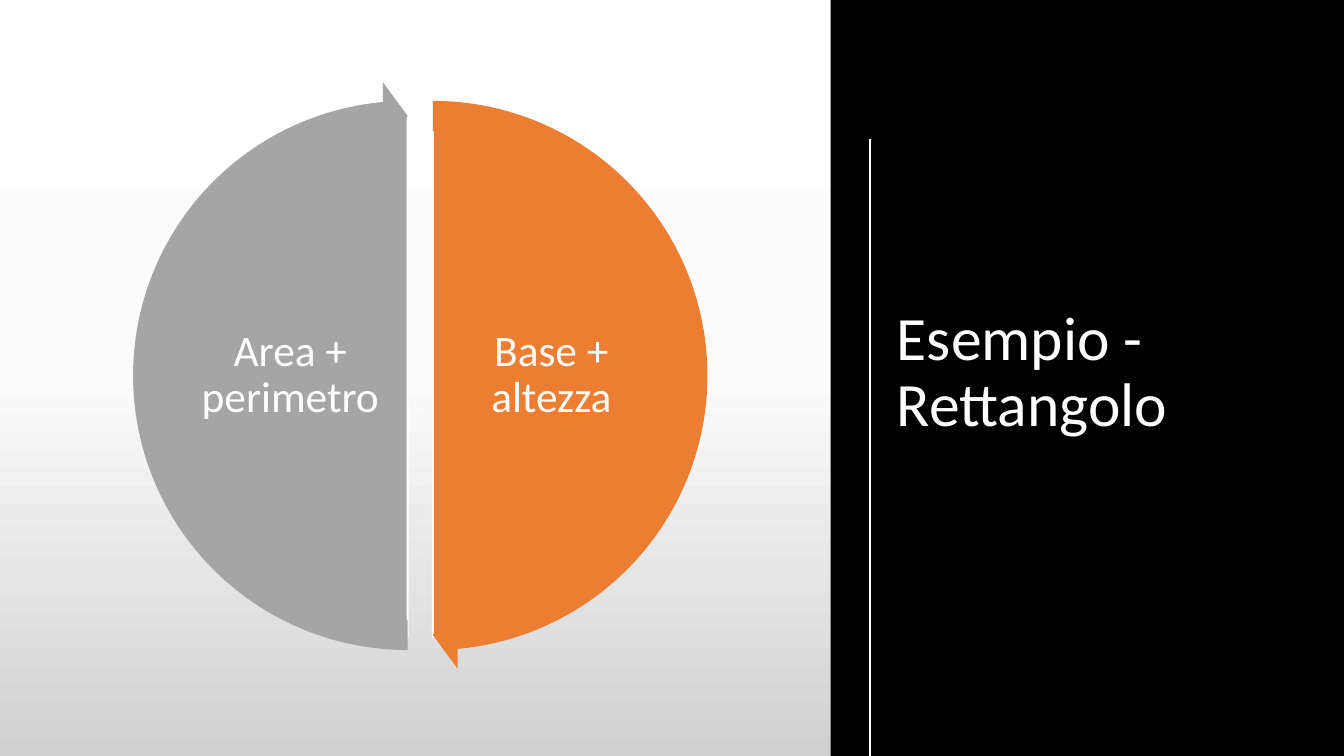
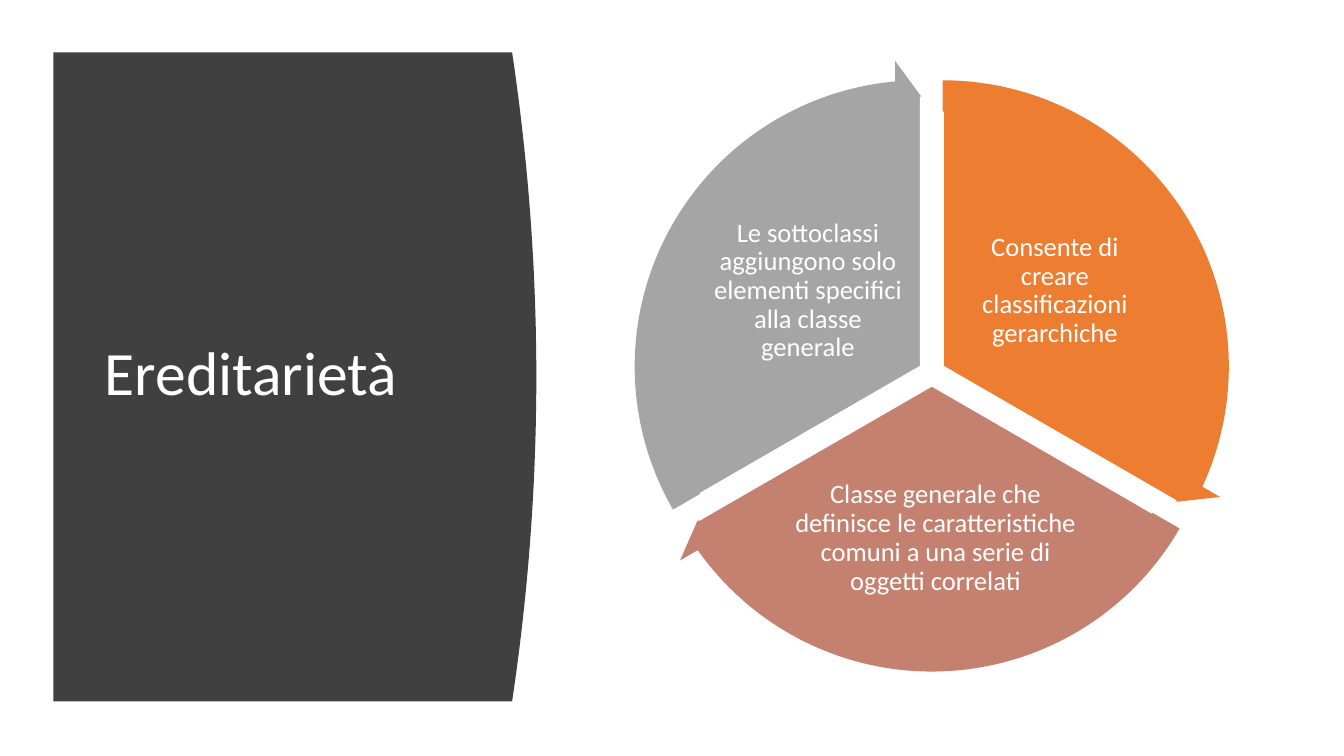
from copy import deepcopy
from dataclasses import dataclass
from math import cos, radians, sin

from lxml.etree import SubElement
from pptx import Presentation
from pptx.dml.color import RGBColor as Rgb
from pptx.enum.shapes import MSO_CONNECTOR as Conn, MSO_SHAPE as Kind
from pptx.enum.text import MSO_ANCHOR as Anchor, PP_ALIGN as Align
from pptx.oxml.ns import qn
from pptx.util import Pt


@dataclass(frozen=True)
class Theme:
    """Colours and type sizes of the deck."""
    font: str = "Calibri"
    white: str = "FFFFFF"
    black: str = "000000"
    dark: str = "404040"
    orange: str = "ED7D31"
    rose: str = "C48170"
    grey: str = "A5A5A5"
    fade: tuple = ((0, "FFFFFF"), (0.5, "FBFBFB"), (1, "D1D1D1"))
    title: int = 44
    large: int = 31
    small: int = 19


THEME = Theme()
WIDE, HIGH = 960, 540
GAP = 9
RING = 1.125
HEAD = 3.275


def apply(item, values):
    """Set each named value on an item."""
    for name, value in values.items():
        setattr(item, name, value)


def paint(shape, fill, edge=None, width=1.5):
    """Fill a shape, outline it if asked, and drop its shadow."""
    shape.shadow.inherit = False
    shape.fill.solid()
    shape.fill.fore_color.rgb = Rgb.from_string(fill)
    if edge:
        shape.line.color.rgb = Rgb.from_string(edge)
        shape.line.width = Pt(width)
    else:
        shape.line.fill.background()


def block(slide, kind, box, fill, edge=None, adj=()):
    """Add a preset shape with its adjustments."""
    shape = slide.shapes.add_shape(kind, *map(Pt, box))
    for i, value in enumerate(adj):
        shape.adjustments[i] = value
    paint(shape, fill, edge)


def write(slide, text, box, size, align=Align.LEFT, pad=(7.2, 3.6)):
    """Add a white text box centred on its height."""
    frame = slide.shapes.add_textbox(*map(Pt, box)).text_frame
    side, end = map(Pt, pad)
    apply(frame, {
        "word_wrap": True, "vertical_anchor": Anchor.MIDDLE,
        "margin_left": side, "margin_right": side,
        "margin_top": end, "margin_bottom": end,
    })
    para = frame.paragraphs[0]
    apply(para, {"text": text, "alignment": align, "line_spacing": 0.9})
    apply(para.font, {"name": THEME.font, "size": Pt(size)})
    para.font.color.rgb = Rgb.from_string(THEME.white)


def shade(slide):
    """Give the slide a vertical three-stop gradient."""
    fill = slide.background.fill
    fill.gradient()
    fill.gradient_angle = 270
    stops = slide.element.find(".//" + qn("a:gsLst"))
    stops.insert(1, deepcopy(stops[0]))
    for stop, (place, tone) in zip(fill.gradient_stops, THEME.fade):
        stop.position = place
        stop.color.rgb = Rgb.from_string(tone)


def rule(slide, start, end):
    """Draw a plain white line."""
    line = slide.shapes.add_connector(
        Conn.STRAIGHT, *map(Pt, (*start, *end)))
    line.line.color.rgb = Rgb.from_string(THEME.white)
    line.line.width = Pt(2)
    SubElement(line.element.spPr, qn("a:effectLst"))


def panel(slide, left, top, right, foot, bulge, steps=40):
    """Draw a dark panel whose right side bows outwards."""
    edge = []
    for i in range(steps + 1):
        part = i / steps
        bow = 4 * part * (1 - part) * bulge
        edge.append((Pt(right + bow), Pt(top + part * (foot - top))))
    form = slide.shapes.build_freeform(Pt(left), Pt(top), scale=1.0)
    form.add_line_segments([*edge, (Pt(left), Pt(foot))], close=True)
    paint(form.convert_to_shape(), THEME.dark)


def around(mid, size):
    """Return the square box of a size around a point."""
    return mid[0] - size / 2, mid[1] - size / 2, size, size


def cycle(slide, mid, size, type_size, parts):
    """Draw equal sectors from the top, then their arrows."""
    turn = 360 / len(parts)
    rings = []
    for i, (text, tone, box) in enumerate(parts):
        start = (270 + i * turn) % 360
        way = radians(start + turn / 2)
        hub = mid[0] + GAP * cos(way), mid[1] + GAP * sin(way)
        first, last = start * 0.6, (start + turn) % 360 * 0.6
        block(slide, Kind.PIE, around(hub, size), tone, THEME.white,
              (first, last))
        write(slide, text, box, type_size, Align.CENTER,
              (type_size / 10, type_size / 10))
        rings.append((around(hub, size * RING), tone, None,
                      (0.051, HEAD, last - HEAD, first, 0.059)))
    for ring in rings:
        block(slide, Kind.CIRCULAR_ARROW, *ring)


def sample(slide):
    """Build the rectangle example."""
    shade(slide)
    block(slide, Kind.RECTANGLE, (593.3, 0, WIDE - 593.3, HIGH), THEME.black)
    write(slide, "Esempio - Rettangolo", (633.6, 99.4, 275.8, 334.8),
          THEME.title)
    rule(slide, (621.4, 99.4), (621.4, HIGH))
    cycle(slide, (300.2, 268.2), 373.7, THEME.large, (
        ("Base + altezza", THEME.orange, (326.9, 179.3, 133.9, 177.8)),
        ("Area + perimetro", THEME.grey, (140.4, 179.3, 133.9, 177.8)),
    ))


def classes(slide):
    """Build the inheritance slide."""
    panel(slide, 38.2, 37.4, 365.8, 501.1, 17.3)
    write(slide, "Ereditarietà", (67.7, 79.9, 269.3, 377.3), THEME.title)
    cycle(slide, (665.6, 266.3), 389.5, THEME.small, (
        ("Consente di creare classificazioni gerarchiche",
         THEME.orange, (684, 149.8, 139, 115.9)),
        ("Classe generale che definisce le caratteristiche comuni "
         "a una serie di oggetti correlati",
         THEME.rose, (563.8, 333.4, 208.8, 102.2)),
        ("Le sottoclassi aggiungono solo elementi specifici "
         "alla classe generale",
         THEME.grey, (507.6, 149.8, 139, 115.9)),
    ))


def main():
    """Build and save the deck."""
    deck = Presentation()
    apply(deck, {"slide_width": Pt(WIDE), "slide_height": Pt(HIGH)})
    for build in (sample, classes):
        build(deck.slides.add_slide(deck.slide_layouts[6]))
    deck.save("out.pptx")


if __name__ == "__main__":
    main()
